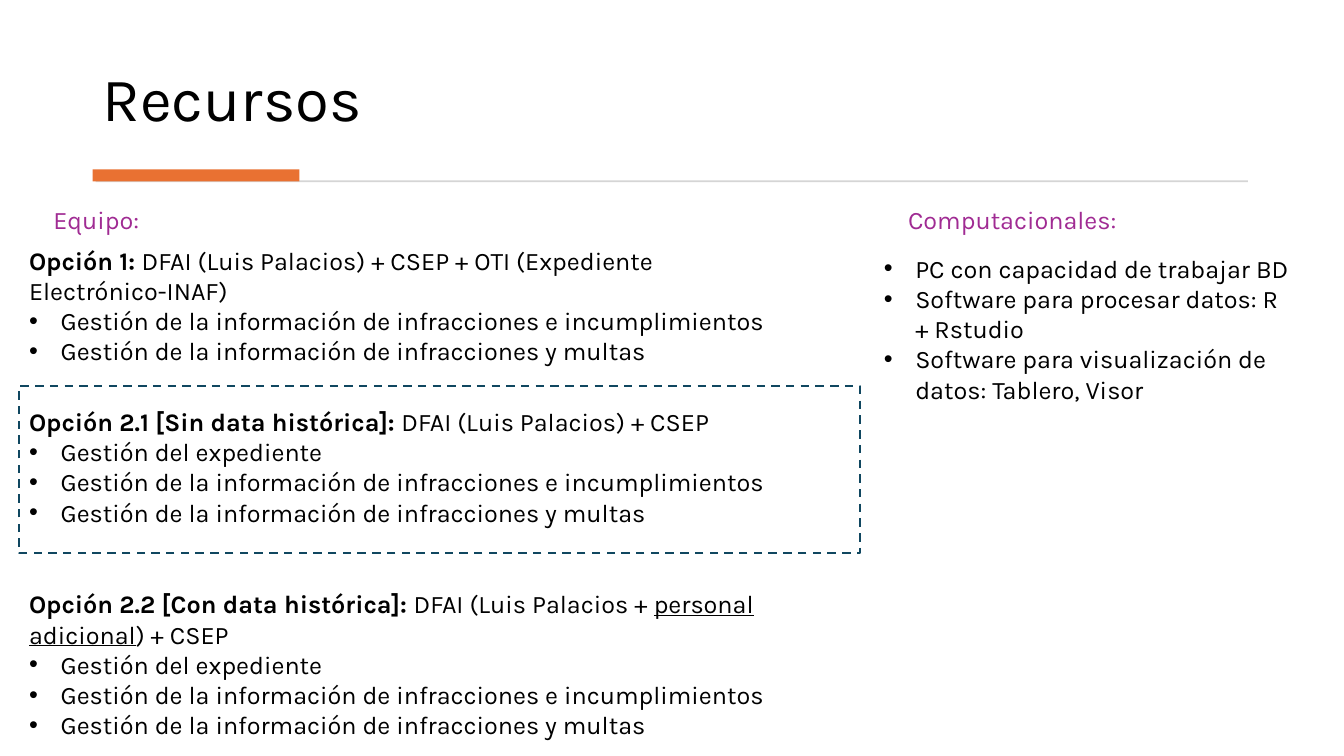
from lxml.etree import SubElement
from pptx import Presentation
from pptx.dml.color import RGBColor
from pptx.enum.dml import MSO_LINE
from pptx.enum.shapes import MSO_SHAPE
from pptx.enum.text import MSO_ANCHOR
from pptx.oxml.ns import qn
from pptx.util import Pt


def color(value):
    return RGBColor.from_string(value)


def add_run(paragraph, text, size=18, ink="000000", bold=False, underline=False):
    run = paragraph.add_run()
    run.text = text
    font = run.font
    font.name = "Karla"
    font.size = Pt(size)
    font.bold = bold
    font.underline = underline
    font.color.rgb = color(ink)


class ResourceSlide:
    """Draws the elements of the resources slide, with lengths in points."""

    heading_ink = "A02B93"
    bullet_indent = 22.5

    def __init__(self, presentation):
        self.slide = presentation.slides.add_slide(presentation.slide_layouts[6])

    def text_frame(self, left, top, width, height, anchor=MSO_ANCHOR.TOP):
        box = self.slide.shapes.add_textbox(Pt(left), Pt(top), Pt(width), Pt(height))
        frame = box.text_frame
        frame.word_wrap = True
        frame.vertical_anchor = anchor
        return frame

    def title(self, text, *place):
        paragraph = self.text_frame(*place, anchor=MSO_ANCHOR.BOTTOM).paragraphs[0]
        paragraph.line_spacing = 0.9
        add_run(paragraph, text, size=44)

    def heading(self, text, *place):
        add_run(self.text_frame(*place).paragraphs[0], text, ink=self.heading_ink)

    def bullet(self, paragraph, text):
        properties = paragraph._p.get_or_add_pPr()
        properties.set("marL", str(Pt(self.bullet_indent)))
        properties.set("indent", str(-Pt(self.bullet_indent)))
        SubElement(properties, qn("a:buFont")).set("typeface", "Arial")
        SubElement(properties, qn("a:buChar")).set("char", "•")
        add_run(paragraph, text)

    def bullets(self, items, *place):
        frame = self.text_frame(*place)
        for index, item in enumerate(items):
            paragraph = frame.add_paragraph() if index else frame.paragraphs[0]
            self.bullet(paragraph, item)

    def option(self, label, team, tasks, *place):
        frame = self.text_frame(*place)
        paragraph = frame.paragraphs[0]
        add_run(paragraph, label + " ", bold=True)
        for text, underline in team:
            add_run(paragraph, text, underline=underline)
        for task in tasks:
            self.bullet(frame.add_paragraph(), task)

    def rectangle(self, left, top, width, height):
        shape = self.slide.shapes.add_shape(
            MSO_SHAPE.RECTANGLE, Pt(left), Pt(top), Pt(width), Pt(height))
        shape.shadow.inherit = False
        return shape

    def bar(self, fill, *place):
        shape = self.rectangle(*place)
        shape.fill.solid()
        shape.fill.fore_color.rgb = color(fill)
        shape.line.fill.background()

    def dashed_frame(self, ink, *place):
        shape = self.rectangle(*place)
        shape.fill.background()
        shape.line.color.rgb = color(ink)
        shape.line.width = Pt(1.5)
        shape.line.dash_style = MSO_LINE.DASH


def main():
    presentation = Presentation()
    presentation.slide_width = Pt(960)
    presentation.slide_height = Pt(540)
    resources = ResourceSlide(presentation)

    resources.title("Recursos", 66.2, 20.2, 827.3, 79.9)
    resources.bar("D5D5D5", 68.4, 128.9, 823, 1.3)
    resources.bar("E97132", 66.2, 121, 147.6, 8.6)

    resources.heading("Computacionales:", 641.5, 142.6, 281.5, 29)
    resources.bullets([
        "PC con capacidad de trabajar BD",
        "Software para procesar datos: R + Rstudio",
        "Software para visualización de datos: Tablero, Visor",
    ], 624.2, 177.1, 308.9, 138.2)

    resources.heading("Equipo:", 31, 142.6, 94.3, 29)
    information_tasks = [
        "Gestión de la información de infracciones e incumplimientos",
        "Gestión de la información de infracciones y multas",
    ]
    file_tasks = ["Gestión del expediente"] + information_tasks
    left = 13.7
    resources.option(
        "Opción 1:",
        [("DFAI (Luis Palacios) + CSEP + OTI (Expediente Electrónico-INAF)", False)],
        information_tasks, left, 171.4, 556.6, 72.7)
    resources.option(
        "Opción 2.1 [Sin data histórica]:",
        [("DFAI (Luis Palacios) + CSEP", False)],
        file_tasks, left, 286.6, 583.2, 94.3)
    resources.option(
        "Opción 2.2 [Con data histórica]:",
        [("DFAI (Luis Palacios + ", False), ("personal adicional", True), (") + CSEP", False)],
        file_tasks, left, 416.9, 600.5, 94.3)
    resources.dashed_frame("104760", left, 275.8, 600.5, 119.5)

    presentation.save("out.pptx")


if __name__ == "__main__":
    main()
